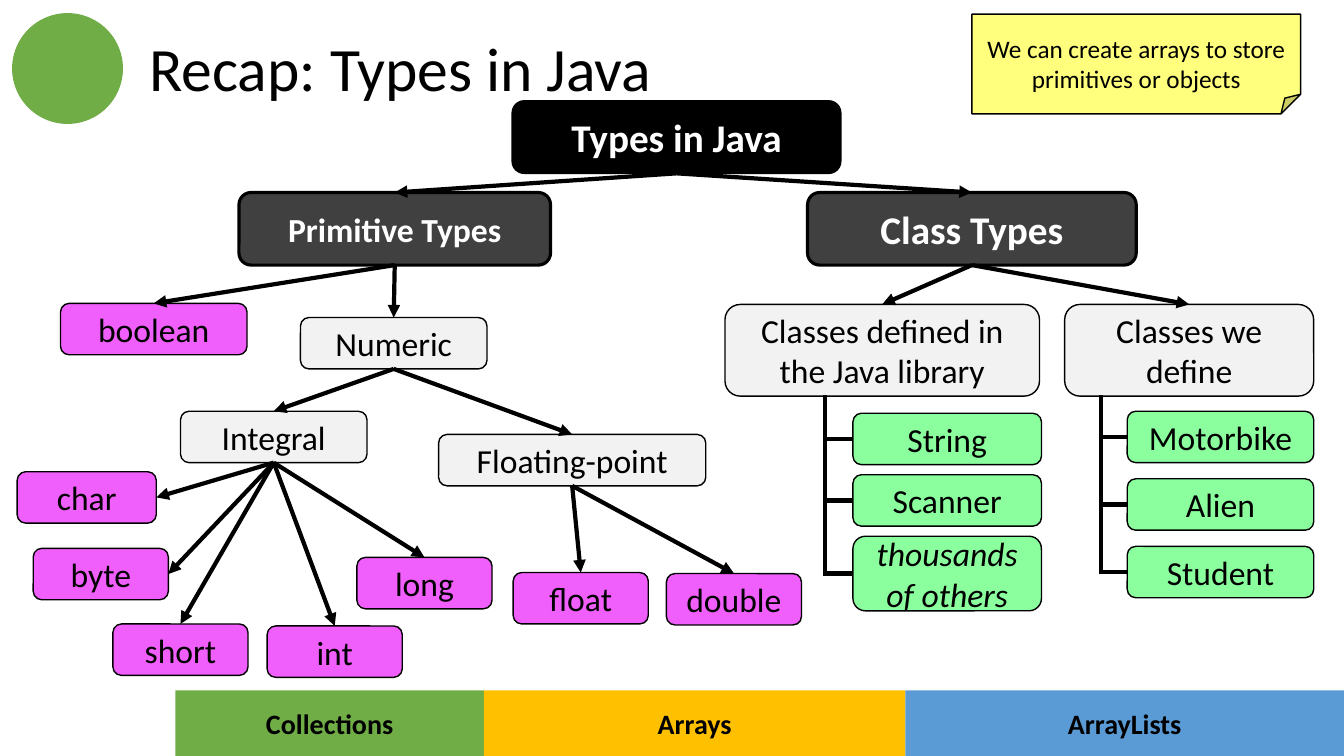
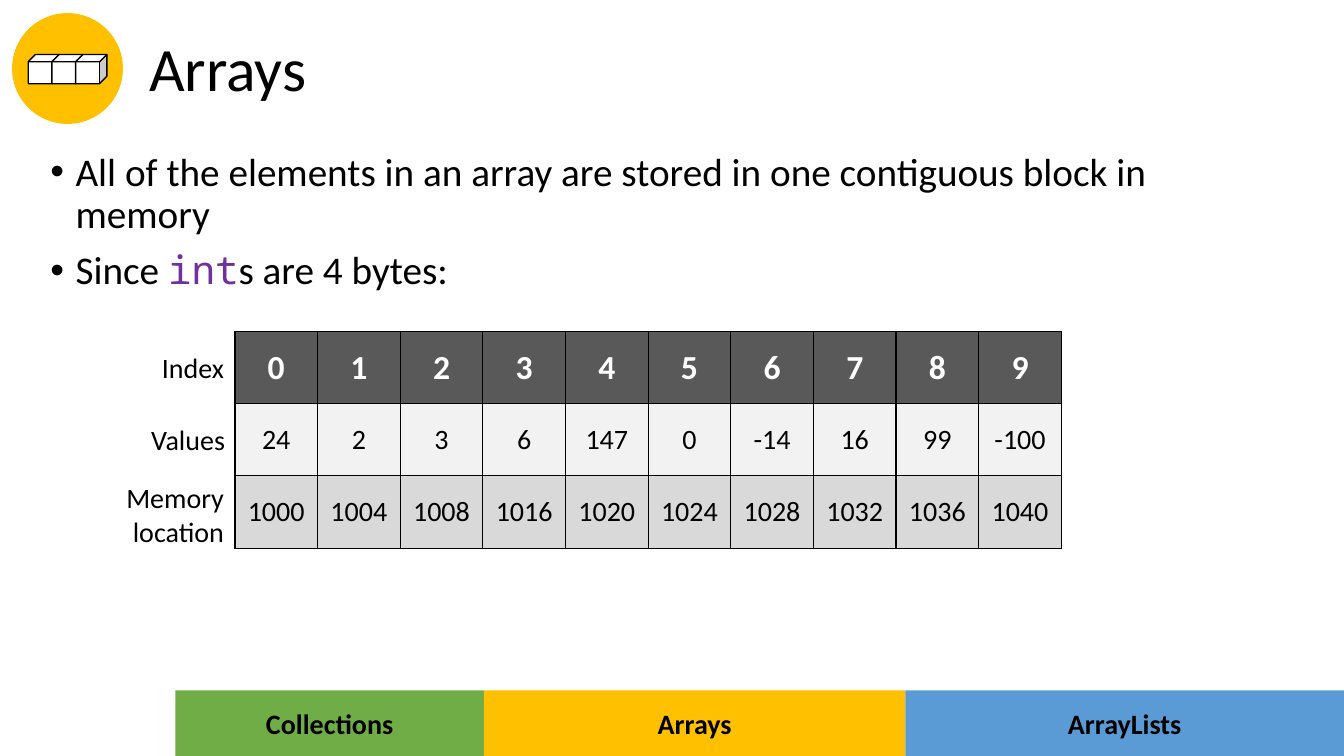
from lxml import etree
from pptx import Presentation
from pptx.dml.color import RGBColor
from pptx.enum.shapes import MSO_CONNECTOR, MSO_SHAPE as SHAPE
from pptx.enum.text import MSO_ANCHOR as ANCHOR, MSO_AUTO_SIZE as AUTO, PP_ALIGN as ALIGN
from pptx.oxml.ns import qn
from pptx.util import Inches, Pt

COLORS = {
    "black": "000000", "white": "FFFFFF", "dark": "404040", "header": "595959",
    "light": "F2F2F2", "grey": "D9D9D9", "pink": "F05FFB", "mint": "8BFF9E",
    "note": "FFFF7D", "green": "70AD47", "amber": "FFC000", "blue": "5B9BD5",
    "purple": "7030A0",
}
FONT = {"name": "Calibri", "size": Pt(24), "bold": False, "italic": False, "color": "black"}
CODE = {"name": "Noto Sans Mono", "color": "purple"}
HEADING = {"size": Pt(28), "bold": True, "color": "white"}
SMALL = {"size": Pt(20)}
TOP, BOTTOM, RIGHT = 0, 2, 3  # connection sites of a box

# name: (left, top, width, height, fill, line width, font)
NODES = {
    "Types in Java": (5.08, 1, 3.26, 0.72, "black", 1, HEADING),
    "Primitive Types": (2.37, 1.91, 3.09, 0.72, "dark", 2.25, {**HEADING, "size": Pt(24)}),
    "Class Types": (8.01, 1.91, 3.26, 0.72, "dark", 2.25, HEADING),
    "Classes defined in the Java library": (7.19, 3.02, 3.12, 0.91, "light", 1, {}),
    "Classes we define": (10.56, 3.02, 2.47, 0.91, "light", 1, {}),
    "Numeric": (2.98, 3.15, 1.85, 0.51, "light", 1, {}),
    "Integral": (1.79, 4.08, 1.85, 0.51, "light", 1, {}),
    "Floating-point": (4.35, 4.31, 2.65, 0.51, "light", 1, {}),
    "boolean": (0.6, 3.01, 1.85, 0.51, "pink", 1, {}),
    "char": (0.17, 4.68, 1.38, 0.51, "pink", 1, {}),
    "byte": (0.33, 5.44, 1.34, 0.51, "pink", 1, {}),
    "short": (1.12, 6.19, 1.34, 0.51, "pink", 1, {}),
    "int": (2.65, 6.21, 1.34, 0.51, "pink", 1, {}),
    "long": (3.54, 5.53, 1.34, 0.51, "pink", 1, {}),
    "float": (5.09, 5.68, 1.34, 0.51, "pink", 1, {}),
    "double": (6.61, 5.69, 1.34, 0.51, "pink", 1, {}),
}
CHILDREN = {
    "Types in Java": ["Primitive Types", "Class Types"],
    "Primitive Types": ["boolean", "Numeric"],
    "Class Types": ["Classes defined in the Java library", "Classes we define"],
    "Numeric": ["Integral", "Floating-point"],
    "Integral": ["char", "byte", "short", "int", "long"],
    "Floating-point": ["float", "double"],
}
SIDE_ENTRY = {"char", "byte"}

# label, label left, label top, label height, row top, fill, font, values
ARRAY_ROWS = [
    ("Index", 1.13, 3.43, 0.44, 3.29, "header", {"bold": True, "color": "white"},
     range(10)),
    ("Values", 1.14, 4.14, 0.44, 4, "light", SMALL,
     [24, 2, 3, 6, 147, 0, -14, 16, 99, -100]),
    ("Memory location", 1.13, 4.72, 0.77, 4.72, "grey", SMALL,
     [1000, 1004, 1008, 1016, 1020, 1024, 1028, 1032, 1036, 1040]),
]


def rgb(name):
    """Look up a palette colour."""
    return RGBColor.from_string(COLORS[name])


def box(*lengths):
    """Turn numbers into inch lengths."""
    return [Inches(n) for n in lengths]


def set_attrs(target, values):
    """Set every attribute in a dict of format values."""
    for key, value in values.items():
        setattr(target, key, value)


def add_run(p, text, font):
    """Add a run in the base font with some changes."""
    r = p.add_run()
    r.text = text
    values = {**FONT, **font}
    r.font.color.rgb = rgb(values.pop("color"))
    set_attrs(r.font, values)


def set_text(tf, text, font, align=ALIGN.CENTER, **frame):
    """Fill a text frame with one paragraph."""
    set_attrs(tf, {"word_wrap": True, **frame})
    p = tf.paragraphs[0]
    p.alignment = align
    add_run(p, text, font)
    return p


def add_box(shapes, kind, at, fill, line=None, text=None, font={}, **frame):
    """Add a filled shape, with an optional outline and centred text."""
    sp = shapes.add_shape(kind, *box(*at))
    sp.shadow.inherit = False
    sp.fill.solid()
    sp.fill.fore_color.rgb = rgb(fill)
    if line:
        sp.line.color.rgb = rgb("black")
        sp.line.width = Pt(line)
    else:
        sp.line.fill.background()
    if text:
        set_text(sp.text_frame, text, font, vertical_anchor=ANCHOR.MIDDLE, **frame)
    return sp


def add_line(s, x1=0, y1=0, x2=0, y2=0, arrow=False):
    """Add a thick black line, with an optional arrowhead."""
    line = s.shapes.add_connector(MSO_CONNECTOR.STRAIGHT, *box(x1, y1, x2, y2))
    line.line.color.rgb = rgb("black")
    line.line.width = Pt(3)
    spPr = line.element.spPr
    if arrow:
        etree.SubElement(spPr.find(qn("a:ln")), qn("a:tailEnd"), type="triangle")
    etree.SubElement(spPr, qn("a:effectLst"))
    return line


def add_slide(prs, layout, title, badge):
    """Add a slide with its title, round badge and topic bar."""
    s = prs.slides.add_slide(prs.slide_layouts.get_by_name(layout))
    sp = s.shapes.title
    sp.left, sp.top, sp.width, sp.height = box(1.38, 0.22, 11.57, 0.97)
    p = set_text(sp.text_frame, title, {"size": Pt(44)}, ALIGN.LEFT,
                 vertical_anchor=ANCHOR.MIDDLE, auto_size=AUTO.NONE)
    p.line_spacing = 0.9
    add_box(s.shapes, SHAPE.OVAL, (0.12, 0.13, 1.1, 1.1), badge)
    left = 1.74
    for topic, width, fill in [("Collections", 3.06, "green"), ("Arrays", 4.18, "amber"),
                               ("ArrayLists", 4.35, "blue")]:
        add_box(s.shapes, SHAPE.RECTANGLE, (left, 6.85, width, 0.65), fill,
                text=topic, font={**SMALL, "bold": True})
        left += width
    return s


def add_tree(s):
    """Add the type boxes and the arrows from parent to child."""
    nodes = {}
    for name, (*at, fill, line, font) in NODES.items():
        nodes[name] = add_box(s.shapes, SHAPE.ROUNDED_RECTANGLE, at, fill, line, name, font)
    for parent, children in CHILDREN.items():
        for child in children:
            arrow = add_line(s, arrow=True)
            arrow.begin_connect(nodes[parent], BOTTOM)
            arrow.end_connect(nodes[child], RIGHT if child in SIDE_ENTRY else TOP)


def add_class_list(s, trunk, left, top, width, pitch, items):
    """Add a column of class boxes that branch from a trunk line."""
    for i, (name, height, font) in enumerate(items):
        y = top + i * pitch
        middle = y + height / 2
        add_line(s, left, middle, trunk, middle)
        add_box(s.shapes, SHAPE.ROUNDED_RECTANGLE, (left, y, width, height),
                "mint", 1, name, font)
    add_line(s, trunk, 3.92, trunk, middle + 0.02)


def add_note(s, at, text):
    """Add a sticky note with a small folded corner."""
    sp = add_box(s.shapes, SHAPE.FOLDED_CORNER, at, "note", 1, text, {"size": Pt(18)},
                 margin_top=Inches(0.39), margin_bottom=Inches(0.2))
    guides = sp.element.spPr.find(qn("a:prstGeom")).find(qn("a:avLst"))
    for guide in list(guides):
        guides.remove(guide)
    etree.SubElement(guides, qn("a:gd"), name="adj", fmla="val 19700")


def add_bullets(sp, paragraphs):
    """Fill the body placeholder with bulleted runs."""
    sp.left, sp.top, sp.width, sp.height = box(0.4, 1.46, 12.16, 1.83)
    tf = sp.text_frame
    tf.auto_size = AUTO.NONE
    for i, runs in enumerate(paragraphs):
        p = tf.add_paragraph() if i else tf.paragraphs[0]
        set_attrs(p, {"line_spacing": 0.9, "space_before": Pt(10)})
        pPr = p._p.get_or_add_pPr()
        pPr.set("marL", str(Inches(0.25)))
        pPr.set("indent", str(-Inches(0.25)))
        etree.SubElement(pPr, qn("a:buChar"), char="•")
        for text, font in runs:
            add_run(p, text, {"size": Pt(28), **font})


def set_borders(cell):
    """Draw thin black borders around a table cell."""
    tcPr = cell._tc.get_or_add_tcPr()
    for i, side in enumerate(("lnL", "lnR", "lnT", "lnB")):
        ln = etree.Element(qn(f"a:{side}"), w=str(Pt(1)))
        fill = etree.SubElement(ln, qn("a:solidFill"))
        etree.SubElement(fill, qn("a:srgbClr"), val=COLORS["black"])
        tcPr.insert(i, ln)


def add_array_row(s, top, fill, font, values):
    """Add a one-row table of array cells."""
    table = s.shapes.add_table(1, len(values), *box(2.33, top, 8.2, 0.72)).table
    set_attrs(table, {"first_row": False, "horz_banding": False})
    for cell, value in zip(table.iter_cells(), values):
        cell.fill.solid()
        cell.fill.fore_color.rgb = rgb(fill)
        cell.vertical_anchor = ANCHOR.MIDDLE
        set_borders(cell)
        set_text(cell.text_frame, str(value), font)


def add_label(s, at, text):
    """Add a right-aligned row label."""
    tf = s.shapes.add_textbox(*box(*at)).text_frame
    set_text(tf, text, SMALL, ALIGN.RIGHT, auto_size=AUTO.SHAPE_TO_FIT_TEXT)


def build_types(prs):
    """Build the recap of Java types."""
    s = add_slide(prs, "Title Only", "Recap: Types in Java", "green")
    add_tree(s)
    add_class_list(s, 8.18, 8.46, 4.1, 1.87, 0.61, [
        ("String", 0.51, {}), ("Scanner", 0.51, {}),
        ("thousands of others", 0.74, {"italic": True})])
    add_class_list(s, 10.92, 11.18, 4.08, 1.85, 0.67, [
        (name, 0.51, {}) for name in ("Motorbike", "Alien", "Student")])
    add_note(s, (9.64, 0.14, 3.26, 0.99),
             "We can create arrays to store primitives or objects")


def build_arrays(prs):
    """Build the slide on array memory."""
    s = add_slide(prs, "Title and Content", "Arrays", "amber")
    cubes = s.shapes.add_group_shape().shapes
    for i in range(3):
        add_box(cubes, SHAPE.CUBE, (0.28 + i * 0.235, 0.54, 0.31, 0.29), "white", 1)
    add_bullets(s.placeholders[1], [
        [("All of the elements in an array are stored in one contiguous block in memory", {})],
        [("Since ", {}), ("int", CODE), ("s are 4 bytes: ", {})]])
    for label, left, label_top, height, top, fill, font, values in ARRAY_ROWS:
        add_array_row(s, top, fill, font, values)
        add_label(s, (left, label_top, 1.19, height), label)


def main():
    """Build and save the presentation."""
    prs = Presentation()
    prs.slide_width, prs.slide_height = box(13.33, 7.5)
    build_types(prs)
    build_arrays(prs)
    prs.save("out.pptx")


main()
